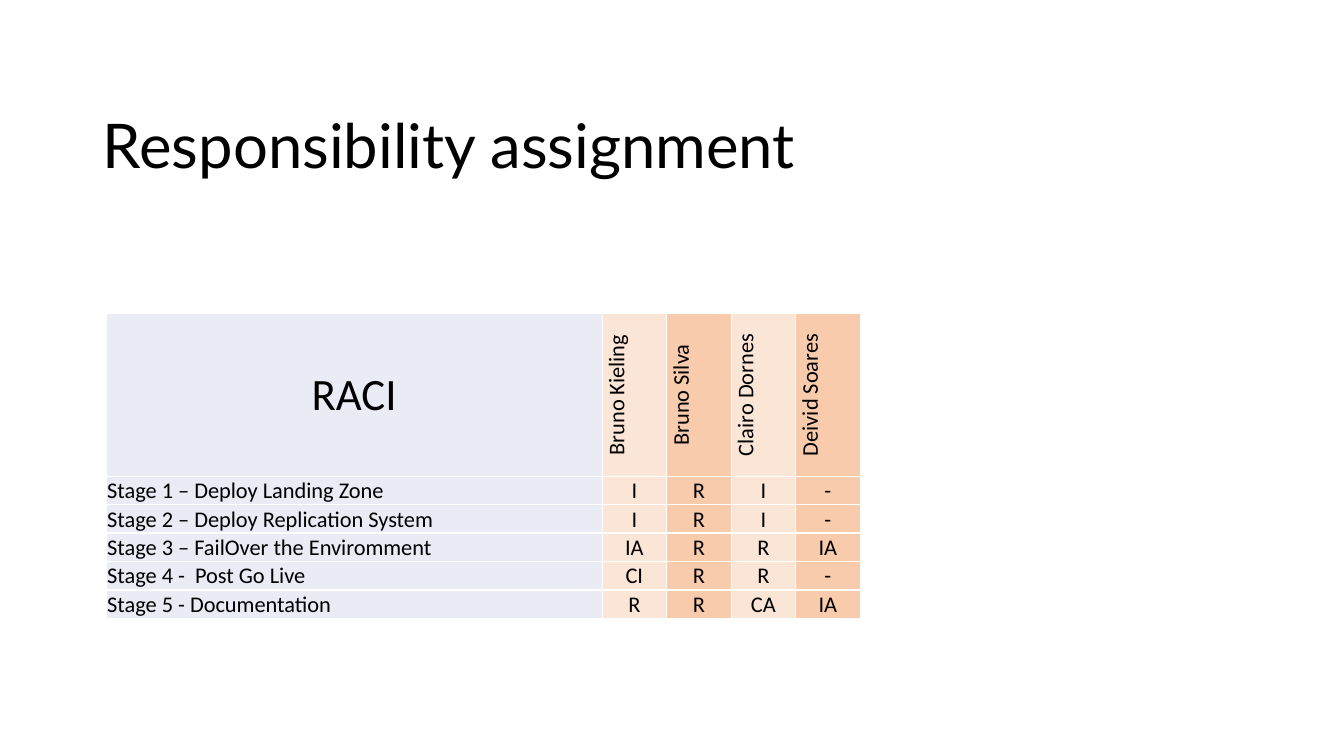
from dataclasses import dataclass

import pptx
import pptx.dml.color
import pptx.enum.text
import pptx.oxml
import pptx.oxml.ns
import pptx.util

ALIGN = pptx.enum.text.PP_ALIGN
ANCHOR = pptx.enum.text.MSO_ANCHOR


@dataclass(frozen=True)
class Theme:
    title_font: str = "Lato"
    table_font: str = "Calibri"
    title_size: int = 44
    heading_size: int = 32
    body_size: int = 16
    ink: str = "000000"
    rule: str = "FFFFFF"
    stage_fill: str = "E9EBF5"
    person_fills: tuple = ("FBE5D6", "F8CBAD")


class Deck:
    """Draws on the current slide; lengths are percentages of its width and height."""

    def __init__(self, theme):
        self.theme = theme
        self.prs = pptx.Presentation()
        self.prs.slide_width = pptx.util.Inches(13.33)
        self.prs.slide_height = pptx.util.Inches(7.5)
        self.s = self.prs.slides.add_slide(self.prs.slide_layouts[5])

    def x(self, share):
        return round(self.prs.slide_width * share / 100)

    def y(self, share):
        return round(self.prs.slide_height * share / 100)

    def font(self, p, name, size):
        for r in p.runs:
            r.font.name = name
            r.font.size = pptx.util.Pt(size)
            r.font.color.rgb = pptx.dml.color.RGBColor.from_string(self.theme.ink)

    def title(self, text, left, top, width, height):
        sp = self.s.shapes.title
        sp.left, sp.top = self.x(left), self.y(top)
        sp.width, sp.height = self.x(width), self.y(height)
        tf = sp.text_frame
        tf.text = text
        tf.auto_size = pptx.enum.text.MSO_AUTO_SIZE.NONE
        tf.vertical_anchor = ANCHOR.BOTTOM
        p = tf.paragraphs[0]
        p.alignment = ALIGN.LEFT
        p.line_spacing = 0.9
        self.font(p, self.theme.title_font, self.theme.title_size)

    def table(self, rows, left, top, widths, heights):
        frame = self.s.shapes.add_table(
            len(rows), len(widths), self.x(left), self.y(top),
            self.x(sum(widths)), self.y(sum(heights)))
        table = frame.table
        table.first_row = table.horz_banding = False
        for column, width in zip(table.columns, widths):
            column.width = self.x(width)
        for row, height in zip(table.rows, heights):
            row.height = self.y(height)
        for i, row in enumerate(rows):
            for j, text in enumerate(row):
                self.cell(table.cell(i, j), text, i, j)

    def cell(self, cell, text, i, j):
        theme = self.theme
        cell.margin_left = cell.margin_right = cell.margin_top = pptx.util.Inches(0.01)
        cell.margin_bottom = 0
        cell.vertical_anchor = ANCHOR.MIDDLE
        cell.text_frame.text = text
        p = cell.text_frame.paragraphs[0]
        p.alignment = ALIGN.LEFT if i and not j else ALIGN.CENTER
        size = theme.body_size if i or j else theme.heading_size
        self.font(p, theme.table_font, size)
        fill = theme.person_fills[(j - 1) % 2] if j else theme.stage_fill
        cell.fill.solid()
        cell.fill.fore_color.rgb = pptx.dml.color.RGBColor.from_string(fill)
        self.borders(cell)
        if j and not i:
            cell._tc.get_or_add_tcPr().set("vert", "vert270")

    def borders(self, cell):
        tcPr = cell._tc.get_or_add_tcPr()
        for k, side in enumerate(("lnL", "lnR", "lnT", "lnB")):
            tcPr.insert(k, pptx.oxml.parse_xml(
                f'<a:{side} {pptx.oxml.ns.nsdecls("a")} w="{pptx.util.Pt(1)}"><a:solidFill>'
                f'<a:srgbClr val="{self.theme.rule}"/></a:solidFill></a:{side}>'))


RACI = [
    ("RACI", "Bruno Kieling", "Bruno Silva", "Clairo Dornes", "Deivid Soares"),
    ("Stage 1 – Deploy Landing Zone", "I", "R", "I", "-"),
    ("Stage 2 – Deploy Replication System", "I", "R", "I", "-"),
    ("Stage 3 – FailOver the Enviromment", "IA", "R", "R", "IA"),
    ("Stage 4 -  Post Go Live", "CI", "R", "R", "-"),
    ("Stage 5 - Documentation", "R", "R", "CA", "IA"),
]


def main():
    deck = Deck(Theme())
    deck.title("Responsibility assignment", 6.9, 5.33, 86.25, 19.33)
    people, stages = len(RACI[0]) - 1, len(RACI) - 1
    deck.table(RACI, 7.9, 41.5, [36.9] + [4.8] * people, [21.5] + [3.75] * stages)
    deck.prs.save("out.pptx")


if __name__ == "__main__":
    main()
